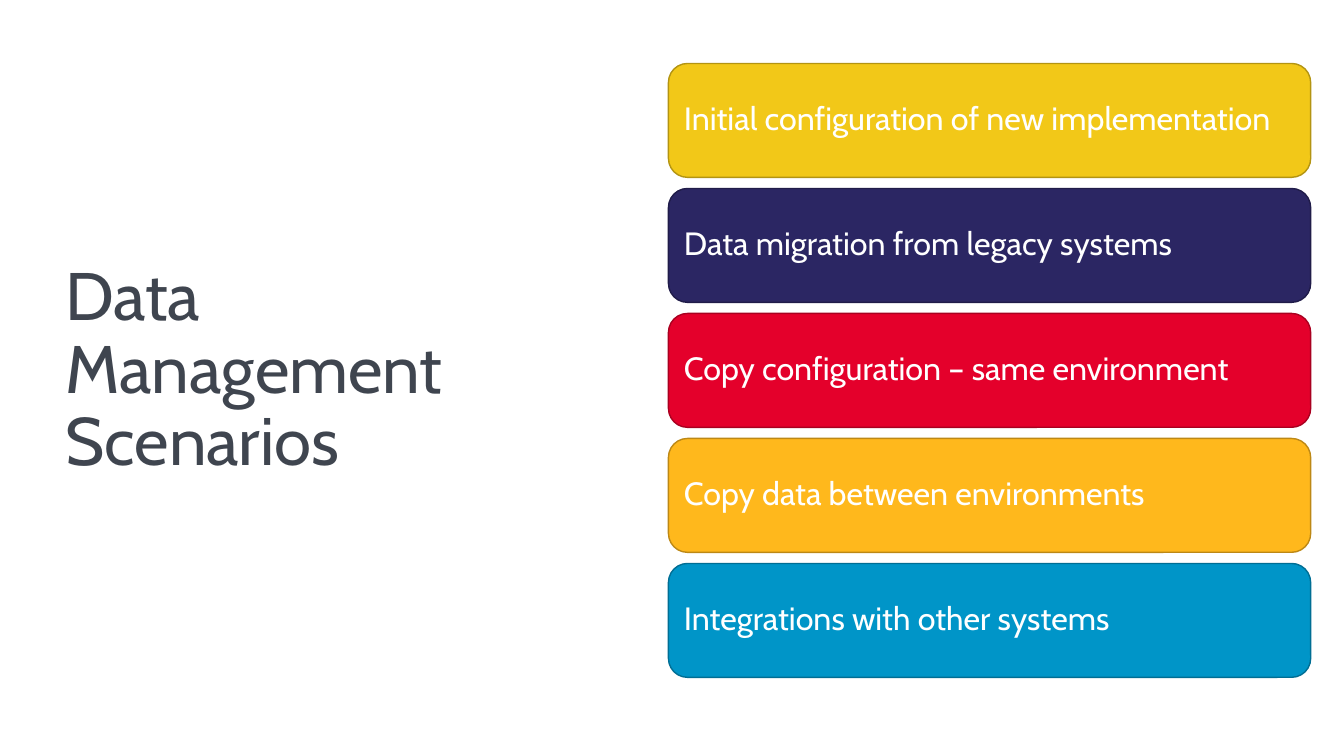
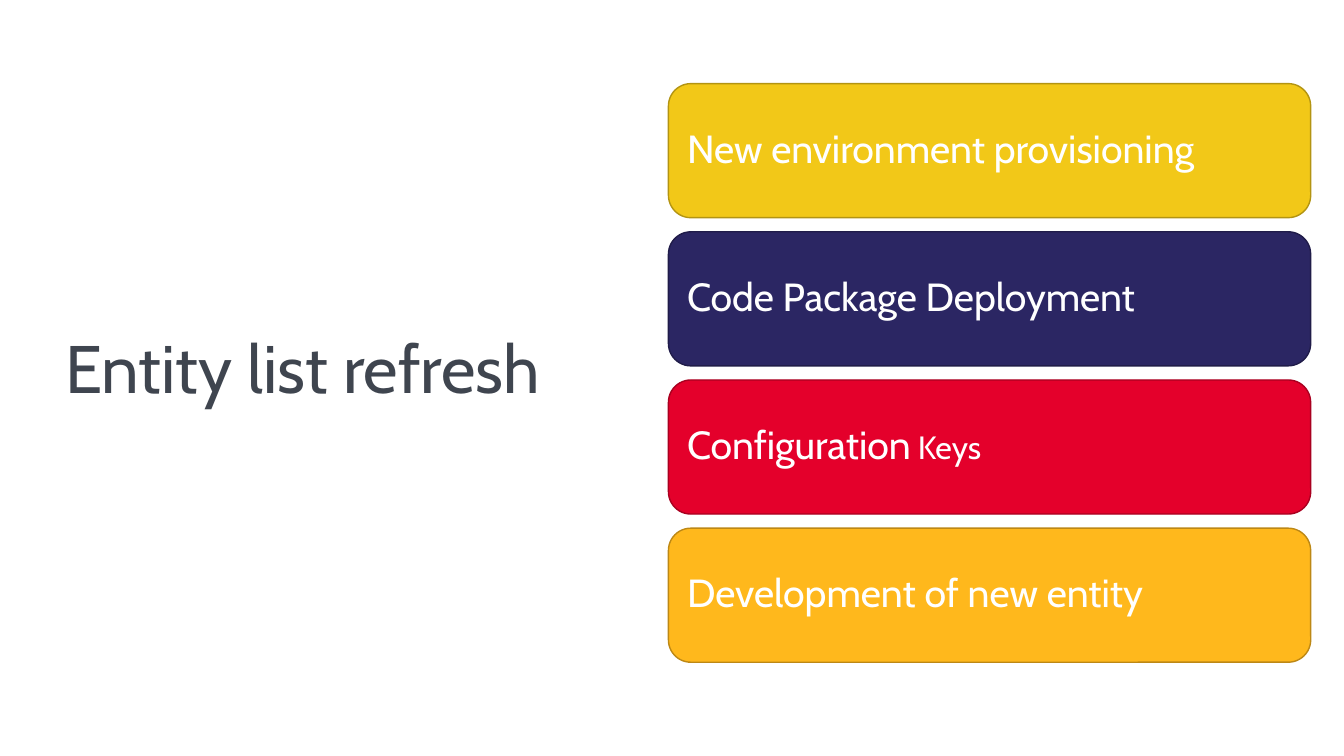
"""Builds two slides that pair a title with a column of coloured cards."""
import pptx
import pptx.dml.color
import pptx.enum.shapes
import pptx.enum.text
import pptx.util

Inches = pptx.util.Inches
COLOURS = {
    "title": "3F454F",
    "white": "FFFFFF",
    "yellow": "F2C818",
    "yellow line": "B39412",
    "navy": "2B2663",
    "navy line": "201C49",
    "red": "E4002B",
    "red line": "A90020",
    "amber": "FFB81C",
    "amber line": "BD8815",
    "blue": "0095C8",
    "blue line": "006E94",
}
CARD_ORDER = ["yellow", "navy", "red", "amber", "blue"]


def colour(name):
    return pptx.dml.color.RGBColor.from_string(COLOURS[name])


def add_text(paragraph, text, size, color, font="Cabin"):
    run = paragraph.add_run()
    run.text = text
    run.font.name = font
    run.font.size = pptx.util.Pt(size)
    run.font.color.rgb = colour(color)


class Deck:
    def __init__(self):
        self.presentation = pptx.Presentation()
        self.presentation.slide_width = Inches(13.33)
        self.presentation.slide_height = Inches(7.5)
        self.slide = None

    def add_slide(self, title):
        layout = self.presentation.slide_layouts[6]
        self.slide = self.presentation.slides.add_slide(layout)
        box = self.slide.shapes.add_textbox(
            Inches(0.55), Inches(0.5), Inches(5.31), Inches(6.37))
        add_text(self.prepare_frame(box), title, size=48, color="title")

    def prepare_frame(self, shape):
        frame = shape.text_frame
        frame.word_wrap = True
        frame.vertical_anchor = pptx.enum.text.MSO_ANCHOR.MIDDLE
        paragraph = frame.paragraphs[0]
        paragraph.alignment = pptx.enum.text.PP_ALIGN.LEFT
        paragraph.line_spacing = 0.9
        return paragraph

    def add_card(self, runs, name, top, height, inset):
        shape = self.slide.shapes.add_shape(
            pptx.enum.shapes.MSO_SHAPE.ROUNDED_RECTANGLE,
            Inches(6.63), Inches(top), Inches(6.37), Inches(height))
        shape.shadow.inherit = False
        shape.fill.solid()
        shape.fill.fore_color.rgb = colour(name)
        shape.line.color.rgb = colour(name + " line")
        shape.line.width = pptx.util.Pt(1)
        frame = shape.text_frame
        frame.margin_left = frame.margin_right = Inches(inset)
        frame.margin_top = frame.margin_bottom = Inches(inset)
        paragraph = self.prepare_frame(shape)
        for text, size in runs:
            add_text(paragraph, text, size=size, color="white")

    def add_cards(self, cards, top, pitch, height, inset):
        for index, (runs, name) in enumerate(zip(cards, CARD_ORDER)):
            self.add_card(runs, name, top + index * pitch, height, inset)


def main():
    deck = Deck()
    deck.add_slide("Data Management Scenarios")
    scenarios = [
        "Initial configuration of new implementation",
        "Data migration from legacy systems",
        "Copy configuration – same environment",
        "Copy data between environments",
        "Integrations with other systems",
    ]
    deck.add_cards([[(text, 23)] for text in scenarios],
                   top=0.63, pitch=1.24, height=1.13, inset=0.1)

    deck.add_slide("Entity list refresh")
    triggers = [
        [("New environment provisioning", 28)],
        [("Code Package Deployment", 28)],
        [("Configuration", 28), (" Keys", 23)],
        [("Development of new entity", 28)],
    ]
    deck.add_cards(triggers, top=0.83, pitch=1.47, height=1.33, inset=0.12)
    deck.presentation.save("out.pptx")


if __name__ == "__main__":
    main()
